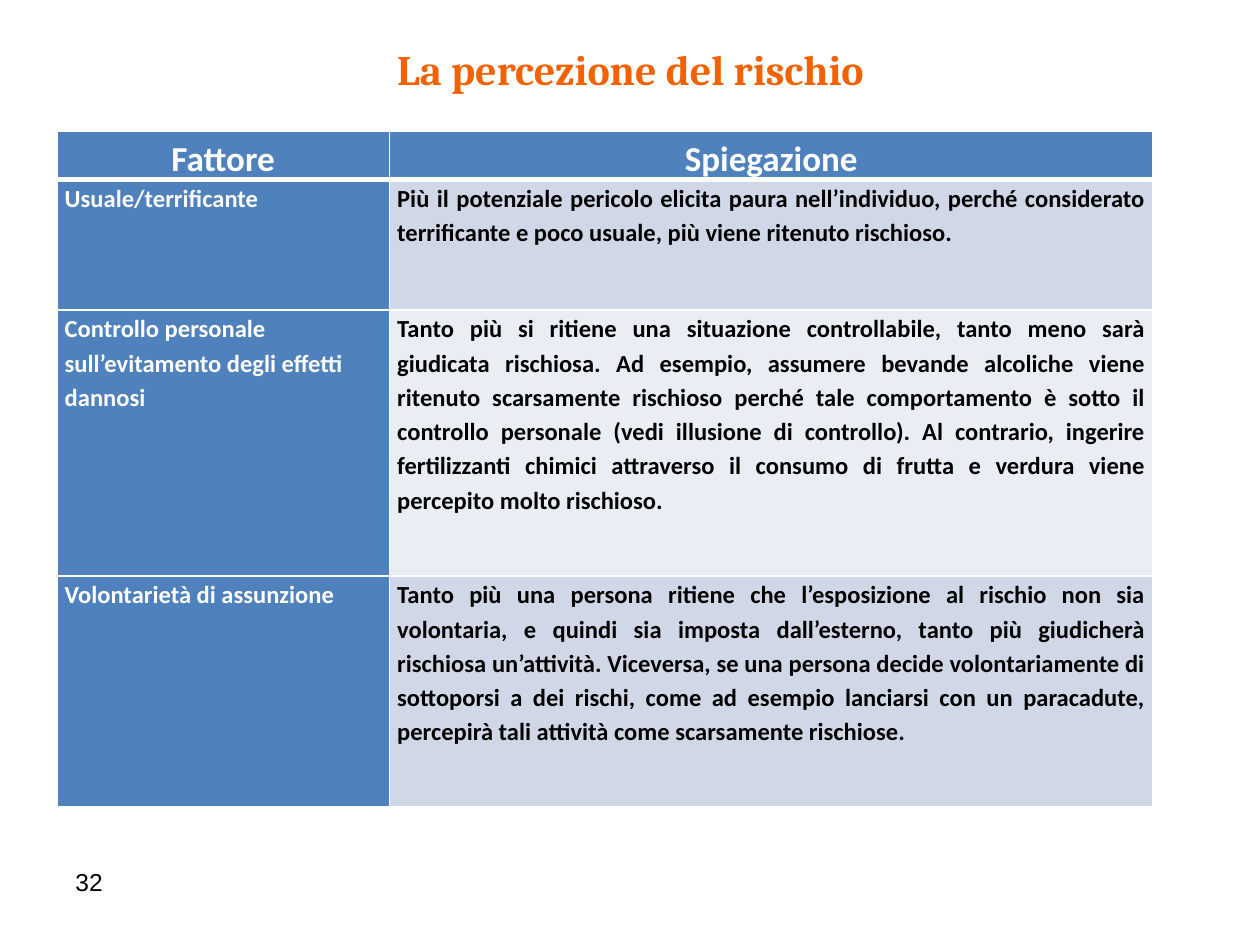
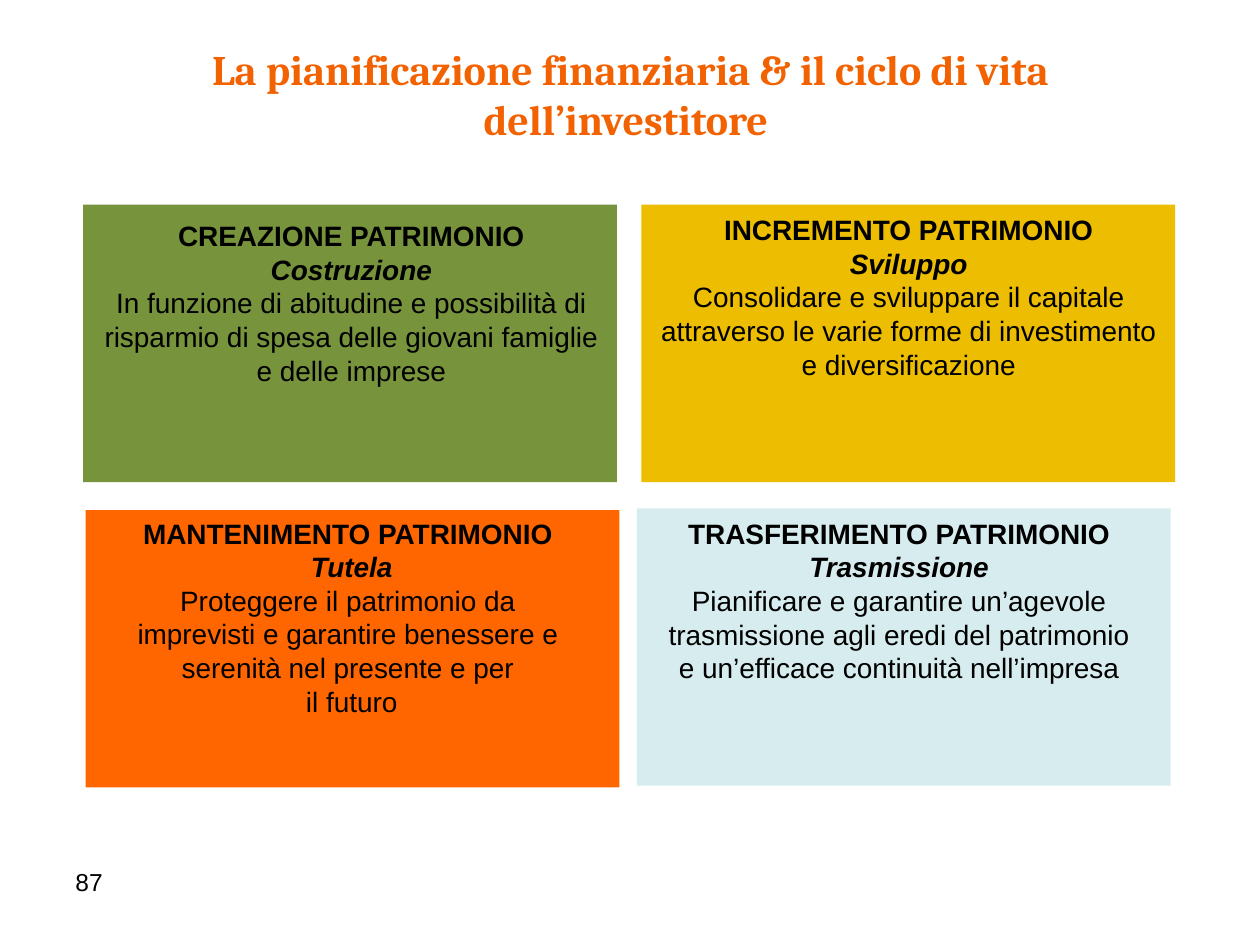
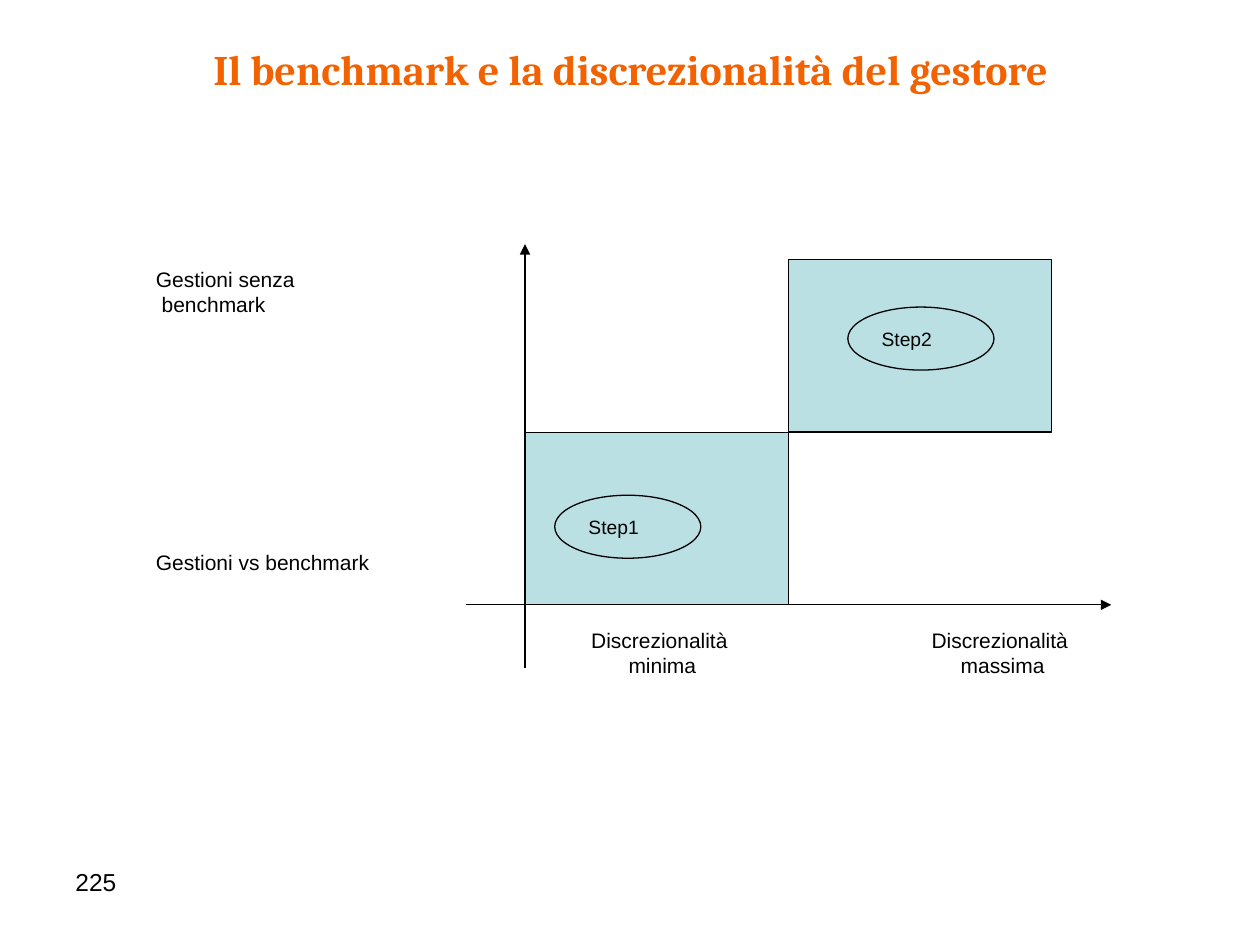
from lxml.etree import SubElement
from pptx import Presentation
from pptx.dml.color import RGBColor
from pptx.enum.shapes import MSO_CONNECTOR, MSO_SHAPE
from pptx.enum.text import MSO_ANCHOR as ANCHOR, MSO_AUTO_SIZE, PP_ALIGN as ALIGN
from pptx.oxml.ns import qn
from pptx.util import Pt

COLORS = {
    "title": "F26200", "text": "000000", "white": "FFFFFF",
    "header": "4F81BD", "band_dark": "D0D8E8", "band_light": "E9EDF4",
    "creation": "77933C", "growth": "ECBD00", "protection": "FF6600",
    "transfer": "D6ECEE", "step": "BBE0E3",
}
RGB = {name: RGBColor.from_string(value) for name, value in COLORS.items()}

TITLE = {"name": "Cambria", "size": Pt(24), "bold": True}
NUMBER = {"name": "Arial", "size": Pt(14)}
HEADER = {"name": "Calibri", "size": Pt(20), "bold": True}
CELL = {"name": "Calibri", "size": Pt(14), "bold": True}
BODY = {"name": "Arial", "size": Pt(16), "bold": False, "italic": False}
HEADING = BODY | {"bold": True}
STAGE = HEADING | {"italic": True}
LABEL = {"name": "Arial", "size": Pt(12)}
STEP = {"name": "Arial", "size": Pt(11)}


def write(frame, lines, formats, color="text", align=ALIGN.LEFT, spacing=None):
    """Fill a text frame, one paragraph a line; the last format serves the remaining lines."""
    frame.word_wrap = True
    for index, line in enumerate(lines):
        paragraph = frame.paragraphs[0] if index == 0 else frame.add_paragraph()
        paragraph.alignment = align
        paragraph.line_spacing = spacing
        run = paragraph.add_run()
        run.text = line
        for attribute, value in formats[min(index, len(formats) - 1)].items():
            setattr(run.font, attribute, value)
        run.font.color.rgb = RGB[color]


def add_text(slide, box, lines, formats, align=ALIGN.LEFT):
    frame = slide.shapes.add_textbox(*map(Pt, box)).text_frame
    write(frame, lines, formats, align=align)


deck = Presentation()
deck.slide_width, deck.slide_height = Pt(720), Pt(540)

# Shared title and page number
slides = []
for title, number, title_height in [
    ("La percezione del rischio", "32", 36.5),
    ("La pianificazione finanziaria & il ciclo di vita dell’investitore ", "87", 65.5),
    ("Il benchmark e la discrezionalità del gestore", "225", 36.5),
]:
    slide = deck.slides.add_slide(deck.slide_layouts[5])
    heading = slide.shapes.title
    heading.left, heading.top, heading.width, heading.height = map(
        Pt, (34.5, 21, 651.5, title_height))
    heading.text_frame.auto_size = MSO_AUTO_SIZE.NONE
    heading.text_frame.vertical_anchor = ANCHOR.TOP
    write(heading.text_frame, [title], [TITLE], "title", ALIGN.CENTER)
    add_text(slide, (36, 492, 168, 37.5), [number], [NUMBER])
    slides.append(slide)
risk_slide, planning_slide, benchmark_slide = slides

# Risk perception table
factors = [
    (["Fattore"], "Spiegazione"),
    (["Usuale/terrificante"],
     "Più il potenziale pericolo elicita paura nell’individuo, perché considerato "
     "terrificante e poco usuale, più viene ritenuto rischioso."),
    (["Controllo personale", "sull’evitamento degli effetti", "dannosi"],
     "Tanto più si ritiene una situazione controllabile, tanto meno sarà giudicata "
     "rischiosa. Ad esempio, assumere bevande alcoliche viene ritenuto scarsamente "
     "rischioso perché tale comportamento è sotto il controllo personale (vedi illusione "
     "di controllo). Al contrario, ingerire fertilizzanti chimici attraverso il consumo "
     "di frutta e verdura viene percepito molto rischioso."),
    (["Volontarietà di assunzione"],
     "Tanto più una persona ritiene che l’esposizione al rischio non sia volontaria, e "
     "quindi sia imposta dall’esterno, tanto più giudicherà rischiosa un’attività. "
     "Viceversa, se una persona decide volontariamente di sottoporsi a dei rischi, come "
     "ad esempio lanciarsi con un paracadute, percepirà tali attività come scarsamente "
     "rischiose."),
]
row_heights = [27.5, 74.5, 152, 132]
table = risk_slide.shapes.add_table(
    4, 2, Pt(32.5), Pt(75), Pt(626.5), Pt(sum(row_heights))).table
for column, width in zip(table.columns, (190, 436.5)):
    column.width = Pt(width)
for row_index, (factor, explanation) in enumerate(factors):
    table.rows[row_index].height = Pt(row_heights[row_index])
    for column_index, lines in enumerate((factor, [explanation])):
        cell = table.cell(row_index, column_index)
        cell.margin_left = cell.margin_right = Pt(4.5)
        cell.margin_top = cell.margin_bottom = 0
        is_header = row_index == 0
        is_blue = is_header or column_index == 0
        write(cell.text_frame, lines, [HEADER if is_header else CELL],
              "white" if is_blue else "text",
              ALIGN.CENTER if is_header else ALIGN.JUSTIFY, 1.15)
        heavy_edge = {0: "lnB", 1: "lnT"}.get(row_index)
        for edge in ("lnL", "lnR", "lnT", "lnB"):
            border = SubElement(cell._tc.get_or_add_tcPr(), qn(f"a:{edge}"),
                                w=str(Pt(3 if edge == heavy_edge else 1)))
            border_fill = SubElement(border, qn("a:solidFill"))
            SubElement(border_fill, qn("a:srgbClr"), val=COLORS["white"])
        band = "band_dark" if row_index % 2 else "band_light"
        cell.fill.solid()
        cell.fill.fore_color.rgb = RGB["header" if is_blue else band]

# Life-cycle stages: card corner, text box, text
stages = [
    ("protection", (49, 291.5), (48.5, 291.5, 305, 124),
     ["MANTENIMENTO PATRIMONIO ", "Tutela", "Proteggere il patrimonio da ",
      "imprevisti e garantire benessere e ", "serenità nel presente e per ", "il futuro"]),
    ("growth", (366.5, 117), (366, 118, 306.5, 104.5),
     ["INCREMENTO PATRIMONIO", "Sviluppo",
      "Consolidare e sviluppare il capitale attraverso le varie forme di investimento "
      "e diversificazione"]),
    ("transfer", (364, 290.5), (369, 291.5, 289.5, 104.5),
     ["TRASFERIMENTO PATRIMONIO", "Trasmissione",
      "Pianificare e garantire un’agevole trasmissione agli eredi del patrimonio e "
      "un’efficace continuità nell’impresa"]),
    ("creation", (47.5, 117), (47.5, 121.5, 306.5, 104.5),
     ["CREAZIONE PATRIMONIO", "Costruzione",
      "In funzione di abitudine e possibilità di risparmio di spesa delle giovani "
      "famiglie e delle imprese"]),
]
for color, corner, text_box, lines in stages:
    card = planning_slide.shapes.add_shape(
        MSO_SHAPE.RECTANGLE, *map(Pt, (*corner, 305, 158.5)))
    card.shadow.inherit = False
    card.fill.solid()
    card.fill.fore_color.rgb = RGB[color]
    card.line.fill.background()
    add_text(planning_slide, text_box, lines, [HEADING, STAGE, BODY], ALIGN.CENTER)

# Benchmark against discretion
origin_x, origin_y = 300, 345.6
step_width, step_height = 150.5, 98.6
middle_x, middle_y = origin_x + step_width, origin_y - step_height
top_y = middle_y - step_height

for box, lines, align in [
    ((82, 310.5, 201.5, 34.5), ["Gestioni vs benchmark"], ALIGN.LEFT),
    ((82, 148.5, 138, 57), ["Gestioni senza", " benchmark"], ALIGN.LEFT),
    ((308, 355, 141, 57), ["Discrezionalità ", "minima"], ALIGN.CENTER),
    ((502.5, 355, 141, 57), ["Discrezionalità ", "massima"], ALIGN.CENTER),
]:
    add_text(benchmark_slide, box, lines, [LABEL], align)

for ends, is_axis in [
    ((origin_x, 381.5, origin_x, 139.5), True),
    ((266.5, origin_y, 635, origin_y), True),
    ((middle_x, 149, middle_x, 337), False),
    ((317, middle_y, 584.5, middle_y), False),
]:
    rule = benchmark_slide.shapes.add_connector(MSO_CONNECTOR.STRAIGHT, *map(Pt, ends))
    rule.line.color.rgb = RGB["text"]
    rule.line.width = Pt(0.75)
    if is_axis:
        SubElement(rule.line._get_or_add_ln(), qn("a:tailEnd"), type="triangle")
    SubElement(rule._element.spPr, qn("a:effectLst"))

for preset, box, step in [
    (MSO_SHAPE.RECTANGLE, (origin_x, middle_y, step_width, step_height), None),
    (MSO_SHAPE.RECTANGLE, (middle_x, top_y, step_width, step_height), None),
    (MSO_SHAPE.OVAL, (317, 283, 83.5, 36), "Step1"),
    (MSO_SHAPE.OVAL, (484.5, 175.5, 83.5, 36), "Step2"),
]:
    area = benchmark_slide.shapes.add_shape(preset, *map(Pt, box))
    area.shadow.inherit = False
    area.line.color.rgb = RGB["text"]
    area.line.width = Pt(0.75)
    if step:
        area.fill.background()
        area.text_frame.vertical_anchor = ANCHOR.MIDDLE
        write(area.text_frame, [step], [STEP])
    else:
        area.fill.solid()
        area.fill.fore_color.rgb = RGB["step"]

deck.save("out.pptx")
